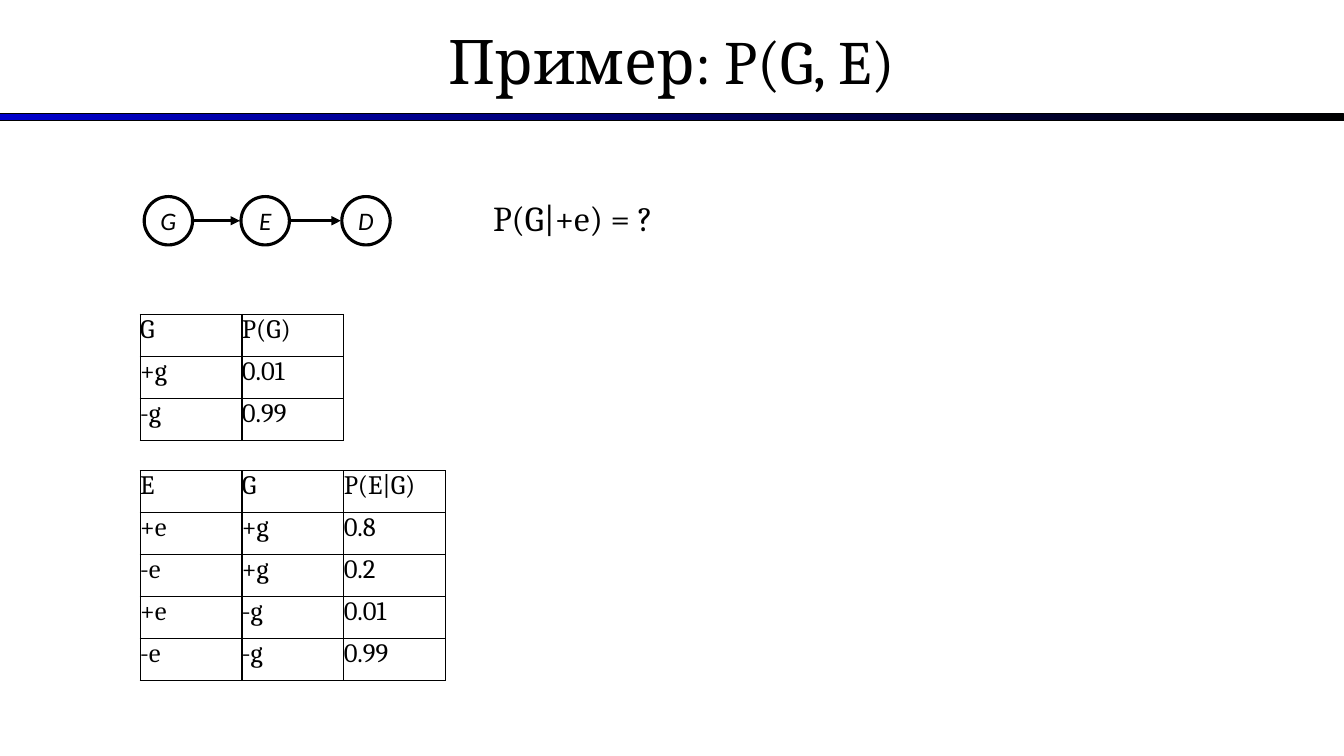
from pptx import Presentation
from pptx.dml.color import RGBColor
from pptx.enum import dml, shapes, text
from pptx.oxml import parse_xml
from pptx.oxml.ns import nsdecls
from pptx.util import Inches, Pt

COLORS = {"ink": "000000", "paper": "FFFFFF", "bar": "0000CC"}
TITLE = "Пример: P(G, E)"
QUERY = "P(G|+e) = ?"
NODES = [("G", 1.43), ("E", 2.39), ("D", 3.39)]  # label, left
TABLES = [  # top, rows
    (3.12, [("G", "P(G)"), ("+g", "0.01"), ("-g", "0.99")]),
    (4.67, [("E", "G", "P(E|G)"),
            ("+e", "+g", "0.8"),
            ("-e", "+g", "0.2"),
            ("+e", "-g", "0.01"),
            ("-e", "-g", "0.99")]),
]
TABLE_LEFT, COL_W, ROW_H = 1.39, 1.01, 0.417
NODE_TOP, NODE_SIZE = 1.95, 0.48
SIDES = ("left", "top", "right", "bottom")


def rgb(name):
    return RGBColor.from_string(COLORS[name])


def write(tf, content, size, font="Cambria", italic=False, align=None, inset=0.05, **frame):
    frame.update({f"margin_{side}": Inches(inset) for side in SIDES})
    for name, value in frame.items():
        setattr(tf, name, value)
    p = tf.paragraphs[0]
    p.alignment = align
    r = p.add_run()
    r.text = content
    for name, value in {"name": font, "size": Pt(size), "italic": italic}.items():
        setattr(r.font, name, value)
    r.font.color.rgb = rgb("ink")


def outline(sp, width):
    sp.line.color.rgb = rgb("ink")
    sp.line.width = Pt(width)


def add_shape(slide, kind, box, width):
    sp = slide.shapes.add_shape(kind, *map(Inches, box))
    sp.shadow.inherit = False
    outline(sp, width)
    return sp


def add_node(slide, label, left):
    sp = add_shape(slide, shapes.MSO_SHAPE.OVAL,
                   (left, NODE_TOP, NODE_SIZE, NODE_SIZE), 2.25)
    sp.fill.solid()
    sp.fill.fore_color.rgb = rgb("paper")
    write(sp.text_frame, label, 18, "Calibri", True, text.PP_ALIGN.CENTER, 0,
          word_wrap=False, vertical_anchor=text.MSO_ANCHOR.MIDDLE)


def add_arrow(slide, start, end):
    y = Inches(NODE_TOP + NODE_SIZE / 2)
    line = slide.shapes.add_connector(
        shapes.MSO_CONNECTOR.STRAIGHT, Inches(start), y, Inches(end), y)
    outline(line, 2.25)
    line.line._get_or_add_ln().append(
        parse_xml(f'<a:tailEnd {nsdecls("a")} type="triangle"/>'))
    line._element.spPr.append(parse_xml(f'<a:effectLst {nsdecls("a")}/>'))


def add_table(slide, top, rows):
    cols = len(rows[0])
    table = slide.shapes.add_table(
        len(rows), cols, Inches(TABLE_LEFT), Inches(top),
        Inches(COL_W * cols), Inches(ROW_H * len(rows))).table
    table.first_row = table.horz_banding = False
    for i, row in enumerate(rows):
        for j, value in enumerate(row):
            cell = table.cell(i, j)
            write(cell.text_frame, value, 19)
            for side in SIDES:
                setattr(cell, f"margin_{side}", 0)
            tc_pr = cell._tc.get_or_add_tcPr()
            for edge in ("lnL", "lnR", "lnT", "lnB"):
                tc_pr.append(parse_xml(
                    f'<a:{edge} {nsdecls("a")} w="{Pt(1)}"><a:solidFill>'
                    f'<a:srgbClr val="{COLORS["ink"]}"/></a:solidFill></a:{edge}>'))
            cell.fill.background()


def main():
    prs = Presentation()
    prs.slide_width, prs.slide_height = Inches(13.33), Inches(7.5)
    slide = prs.slides.add_slide(prs.slide_layouts[5])

    title = slide.shapes.title
    title.left, title.top, title.width, title.height = map(Inches, (0, -0.03, 13.33, 1.25))
    write(title.text_frame, TITLE, 44, align=text.PP_ALIGN.CENTER, word_wrap=True,
          auto_size=text.MSO_AUTO_SIZE.NONE, vertical_anchor=text.MSO_ANCHOR.MIDDLE)

    bar = add_shape(slide, shapes.MSO_SHAPE.RECTANGLE, (0, 1.13, 13.33, 0.07), 0.75)
    bar.fill.gradient()
    bar.fill.gradient_angle = 0
    for stop, name in zip(bar.fill.gradient_stops, ("bar", "ink")):
        stop.color.rgb = rgb(name)

    for label, left in NODES:
        add_node(slide, label, left)
    for (_, left), (_, following) in zip(NODES, NODES[1:]):
        add_arrow(slide, left + NODE_SIZE, following - 0.01)

    for top, rows in TABLES:
        add_table(slide, top, rows)

    query = slide.shapes.add_textbox(*map(Inches, (4.84, 1.9, 2.04, 0.57)))
    write(query.text_frame, QUERY, 25, word_wrap=True)
    prs.save("out.pptx")


if __name__ == "__main__":
    main()
